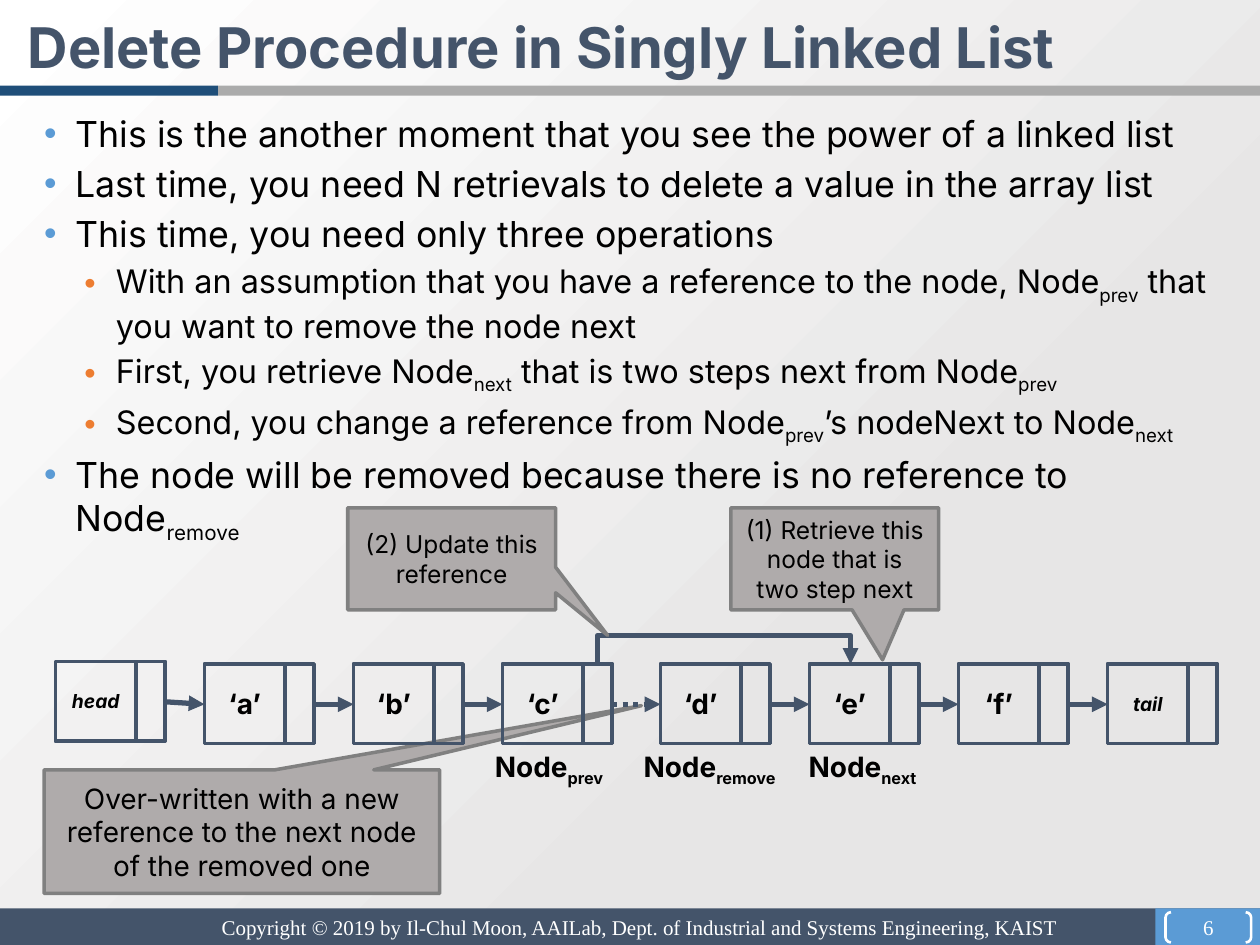
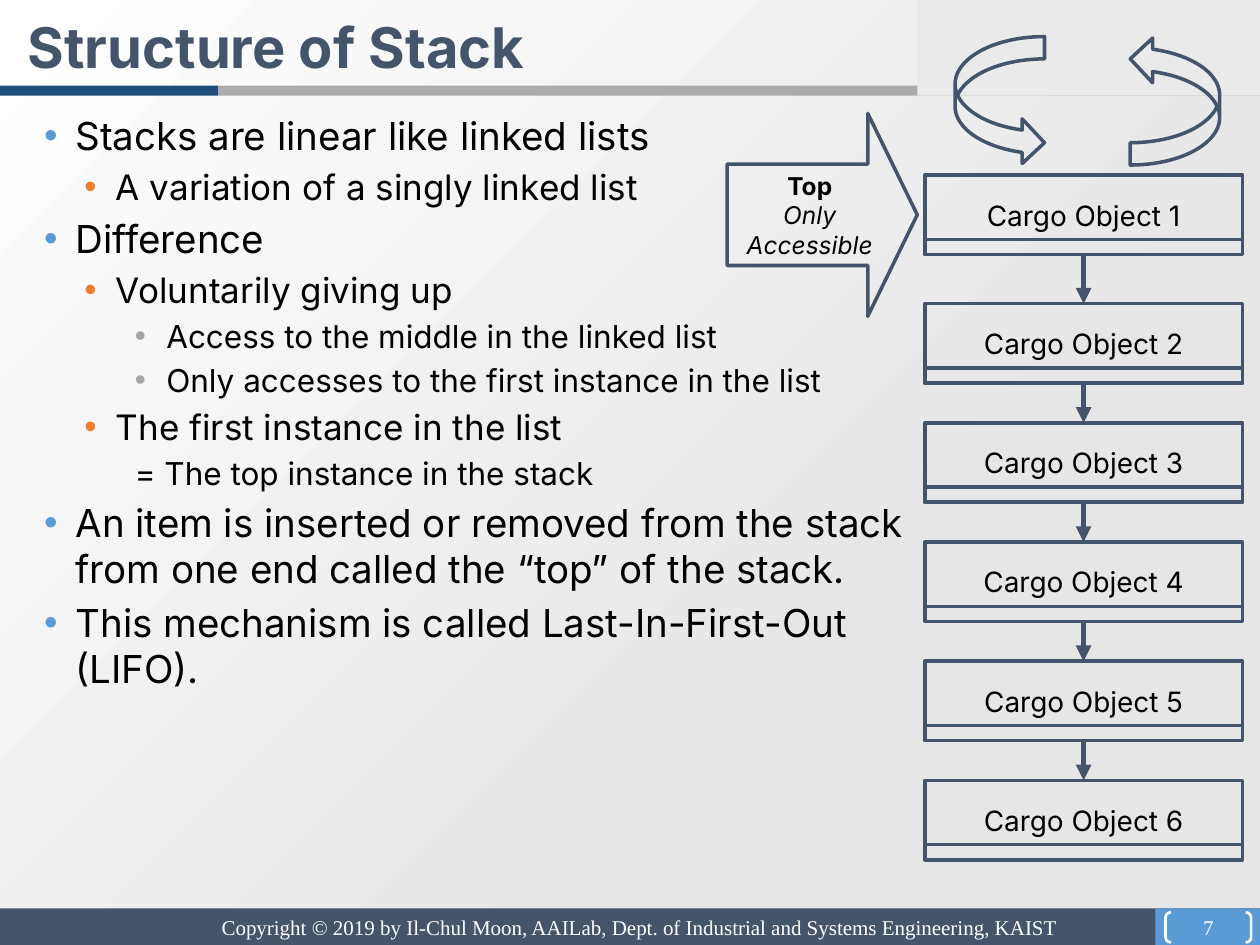
from itertools import pairwise

from pptx import Presentation
from pptx.dml.color import RGBColor
from pptx.enum.dml import MSO_LINE
from pptx.enum.shapes import MSO_CONNECTOR, MSO_SHAPE
from pptx.enum.text import MSO_ANCHOR, MSO_AUTO_SIZE, PP_ALIGN
from pptx.oxml.ns import qn
from pptx.util import Inches, Pt
from lxml.etree import SubElement

COPYRIGHT = "Copyright © 2019 by Il-Chul Moon, AAILab, Dept. of Industrial and Systems Engineering, KAIST"


def color(hex_string):
    return RGBColor.from_string(hex_string)


class Deck:
    FONT, FOOTER_FONT = "Inter", "Times New Roman"
    NAVY, BLUE, DARK_BLUE, SILVER = "44546A", "5B9BD5", "1F4E79", "ABABAB"
    BLACK, WHITE, CALLOUT, CALLOUT_EDGE = "000000", "FFFFFF", "AFABAB", "808080"
    BULLETS = (BLUE, "ED7D31", "A5A5A5")
    INDENTS = (0.38, 0.7, 1.1)
    COLUMNS, ROWS = 100, 75

    def __init__(self):
        self.presentation = Presentation()
        self.presentation.slide_width = Inches(10)
        self.presentation.slide_height = Inches(7.5)
        self.slide = None
        self.paint_background()

    def paint_background(self):
        fill = self.presentation.slide_master.background.fill
        fill.gradient()
        fill.gradient_angle = 135
        for stop, position, shade in zip(fill.gradient_stops, (0.31, 1), ("E7E6E6", self.WHITE)):
            stop.position = position
            stop.color.rgb = color(shade)

    def across(self, columns):
        return round(self.presentation.slide_width * columns / self.COLUMNS)

    def down(self, rows):
        return round(self.presentation.slide_height * rows / self.ROWS)

    def box(self, left, top, width, height):
        return self.across(left), self.down(top), self.across(width), self.down(height)

    def place(self, shape, *box):
        shape.left, shape.top, shape.width, shape.height = self.box(*box)

    def add_runs(self, paragraph, text, size, shade=BLACK, bold=False, italic=False, font=FONT):
        for index, piece in enumerate(text.split("|")):
            if not piece:
                continue
            run = paragraph.add_run()
            run.text = piece
            run.font.size = Pt(size)
            run.font.name = font
            run.font.bold = bold
            run.font.italic = italic
            run.font.color.rgb = color(shade)
            if index % 2:
                run._r.get_or_add_rPr().set("baseline", "-25000")

    def add_slide(self, title, number):
        self.slide = self.presentation.slides.add_slide(self.presentation.slide_layouts[1])
        heading = self.slide.shapes.title
        self.place(heading, 0, 0.5, 95.3, 5.6)
        frame = heading.text_frame
        frame.auto_size = MSO_AUTO_SIZE.NONE
        frame.vertical_anchor = MSO_ANCHOR.TOP
        frame.margin_left = self.across(2.2)
        frame.paragraphs[0].alignment = PP_ALIGN.LEFT
        self.add_runs(frame.paragraphs[0], title, 32, self.NAVY, bold=True)
        self.bands(number)

    def bands(self, number):
        for box, shade in (
            ((0, 72.1, 100, 2.9), self.NAVY),
            ((91.7, 72.1, 8.3, 2.9), self.BLUE),
            ((17.3, 6.8, 82.7, 0.8), self.SILVER),
            ((0, 6.8, 17.3, 0.8), self.DARK_BLUE),
        ):
            self.shape(MSO_SHAPE.RECTANGLE, box, fill=shade, edge=None)
        self.label((16.6, 72.1, 69.1, 3), COPYRIGHT, 12, wrap=False,
                   shade=self.WHITE, font=self.FOOTER_FONT)
        bracket = self.shape(MSO_SHAPE.DOUBLE_BRACKET, (92.5, 72.4, 6.8, 2.4),
                             edge=self.WHITE, weight=1.5, adjustments=(0.18,))
        self.caption(bracket, str(number), 12, margin=0, shade=self.WHITE, font=self.FOOTER_FONT)

    def bullets(self, box, items, sizes):
        body = self.slide.placeholders[1]
        self.place(body, *box)
        frame = body.text_frame
        frame.auto_size = MSO_AUTO_SIZE.NONE
        for index, (level, text, marked) in enumerate(items):
            paragraph = frame.add_paragraph() if index else frame.paragraphs[0]
            paragraph.level = level
            self.mark(paragraph, level, marked)
            self.add_runs(paragraph, text, sizes[level])

    def mark(self, paragraph, level, marked):
        properties = paragraph._p.get_or_add_pPr()
        hanging = Inches(0.25)
        indent = Inches(self.INDENTS[level])
        properties.set("marL", str(indent if marked else indent - hanging))
        properties.set("indent", str(-hanging if marked else 0))
        if marked:
            shade = SubElement(properties, qn("a:buClr"))
            SubElement(shade, qn("a:srgbClr")).set("val", self.BULLETS[level])
            SubElement(properties, qn("a:buFont")).set("typeface", "Arial")
            SubElement(properties, qn("a:buChar")).set("char", "•")
        else:
            SubElement(properties, qn("a:buNone"))

    def shape(self, kind, box, fill=None, edge=NAVY, weight=2, adjustments=()):
        shape = self.slide.shapes.add_shape(kind, *self.box(*box))
        shape.shadow.inherit = False
        if fill:
            shape.fill.solid()
            shape.fill.fore_color.rgb = color(fill)
        else:
            shape.fill.background()
        if edge:
            shape.line.color.rgb = color(edge)
            shape.line.width = Pt(weight)
        else:
            shape.line.fill.background()
        for index, value in enumerate(adjustments):
            shape.adjustments[index] = value
        return shape

    def caption(self, shape, text, size, margin=None, **style):
        frame = shape.text_frame
        frame.word_wrap = True
        frame.vertical_anchor = MSO_ANCHOR.MIDDLE
        if margin is not None:
            frame.margin_left = frame.margin_right = margin
            frame.margin_top = frame.margin_bottom = margin
        paragraph = frame.paragraphs[0]
        paragraph.alignment = PP_ALIGN.CENTER
        self.add_runs(paragraph, text, size, **style)

    def label(self, box, text, size, wrap=True, **style):
        frame = self.slide.shapes.add_textbox(*self.box(*box)).text_frame
        frame.word_wrap = wrap
        self.add_runs(frame.paragraphs[0], text, size, **style)

    def callout(self, box, text, size, pointer):
        shape = self.shape(MSO_SHAPE.RECTANGULAR_CALLOUT, box, self.CALLOUT,
                           self.CALLOUT_EDGE, adjustments=pointer)
        self.caption(shape, text, size)

    def arrow(self, start, end, kind=MSO_CONNECTOR.STRAIGHT, dash=None):
        connector = self.slide.shapes.add_connector(
            kind, self.across(start[0]), self.down(start[1]), self.across(end[0]), self.down(end[1]))
        connector.line.color.rgb = color(self.NAVY)
        connector.line.width = Pt(3)
        if dash:
            connector.line.dash_style = dash
        properties = connector._element.spPr
        SubElement(properties.find(qn("a:ln")), qn("a:tailEnd")).set("type", "triangle")
        SubElement(properties, qn("a:effectLst"))
        return connector

    def bridge(self, left, right, base, rise):
        middle, half, drop = (left + right) / 2, (right - left) / 2, 0.1
        connector = self.arrow((middle + drop / 2, base + half), (middle - drop / 2, base - half),
                               MSO_CONNECTOR.ELBOW)
        properties = connector._element.spPr
        properties.find(qn("a:xfrm")).set("rot", str(90 * 60000))
        guide = SubElement(properties.find(qn("a:prstGeom")).find(qn("a:avLst")), qn("a:gd"))
        guide.set("name", "adj1")
        guide.set("fmla", f"val {round(rise / drop * 100000)}")

    def node(self, left, top, text, size, italic):
        self.shape(MSO_SHAPE.RECTANGLE, (left, top, 8.7, 6.3))
        self.shape(MSO_SHAPE.RECTANGLE, (left + 6.4, top, 2.3, 6.3))
        value = self.shape(MSO_SHAPE.RECTANGLE, (left, top, 6.4, 6.3))
        self.caption(value, text, size, bold=True, italic=italic)

    def cargo(self, top, text):
        crate = self.shape(MSO_SHAPE.RECTANGLE, (73.4, top, 25.2, 6.3))
        self.caption(crate, text, 16)
        self.shape(MSO_SHAPE.RECTANGLE, (73.4, top + 5.1, 25.2, 1.2))


def build_delete_slide(deck):
    deck.add_slide("Delete Procedure in Singly Linked List", 6)
    deck.bullets((1.2, 8.4, 97.6, 30.9), (
        (0, "This is the another moment that you see the power of a linked list", True),
        (0, "Last time, you need N retrievals to delete a value in the array list", True),
        (0, "This time, you need only three operations", True),
        (1, "With an assumption that you have a reference to the node, Node|prev| that you want to remove the node next", True),
        (1, "First, you retrieve Node|next| that is two steps next from Node|prev|", True),
        (1, "Second, you change a reference from Node|prev|’s nodeNext to Node|next|", True),
        (0, "The node will be removed because there is no reference to Node|remove|", True),
    ), (20.4, 18.5))
    deck.callout((3.5, 61.1, 31.4, 9.8),
                 "Over-written with a new reference to the next node of the removed one", 16, (1.01, -1.02))

    names = ("head", "‘a’", "‘b’", "‘c’", "‘d’", "‘e’", "‘f’", "tail")
    nodes = []
    for index, name in enumerate(names):
        is_end = name in ("head", "tail")
        left = 4.4 + 11.83 * index + (0.7 if index > 3 else 0)
        top = 52.5 if name == "head" else 52.7
        deck.node(left, top, name, 11 if is_end else 16, is_end)
        nodes.append((name, left, top + 3.2))
    for (name, left, middle), (_, next_left, next_middle) in pairwise(nodes):
        deck.arrow((left + 8.7, middle), (next_left, next_middle),
                   dash=MSO_LINE.ROUND_DOT if name == "‘c’" else None)

    for left, width, role in ((50.1, 14.2, "remove"), (38.3, 11.8, "prev"), (63.2, 11.8, "next")):
        deck.label((left, 59, width, 3.7), f"Node|{role}|", 16, bold=True)
    deck.bridge(47.4, 67.5, 52.75, 2.4)
    deck.callout((27.6, 40.3, 16.5, 8.1), "(2) Update this reference", 14, (0.75, 0.75))
    deck.callout((58, 40.3, 16.5, 8.1), "(1) Retrieve this node that is two step next", 14, (0.23, 0.99))


def build_stack_slide(deck):
    deck.add_slide("Structure of Stack", 7)
    deck.shape(MSO_SHAPE.RECTANGLE, (72.8, 0, 27.2, 7.6), fill="EAEAEA", edge=None)
    deck.bullets((1.2, 8.4, 72.1, 62.2), (
        (0, "Stacks are linear like linked lists", True),
        (1, "A variation of a singly linked list", True),
        (0, "Difference", True),
        (1, "Voluntarily giving up", True),
        (2, "Access to the middle in the linked list", True),
        (2, "Only accesses to the first instance in the list", True),
        (1, "The first instance in the list", True),
        (2, "= The top instance in the stack", False),
        (0, "An item is inserted or removed from the stack from one end called the “top” of the stack.", True),
        (0, "This mechanism is called Last-In-First-Out (LIFO).", True),
    ), (22, 20, 18))

    tops = [13.9] + [24.1 + 9.46 * index for index in range(5)]
    for number, top in enumerate(tops, 1):
        deck.cargo(top, f"Cargo Object {number}")
    for top, next_top in pairwise(tops):
        deck.arrow((86, top + 6.3), (86, next_top))

    for left, rotation in ((75.8, 0), (89.7, 180)):
        turn = deck.shape(MSO_SHAPE.CURVED_RIGHT_ARROW, (left, 2.9, 7.1, 10.2))
        turn.rotation = rotation
    pointer = deck.shape(MSO_SHAPE.RIGHT_ARROW, (57.7, 9, 15.1, 16.1), adjustments=(0.5, 0.26))
    deck.caption(pointer, "Top", 14, bold=True)
    access = pointer.text_frame.add_paragraph()
    access.alignment = PP_ALIGN.CENTER
    deck.add_runs(access, "Only Accessible", 14, italic=True)


def main():
    deck = Deck()
    build_delete_slide(deck)
    build_stack_slide(deck)
    deck.presentation.save("out.pptx")


if __name__ == "__main__":
    main()
